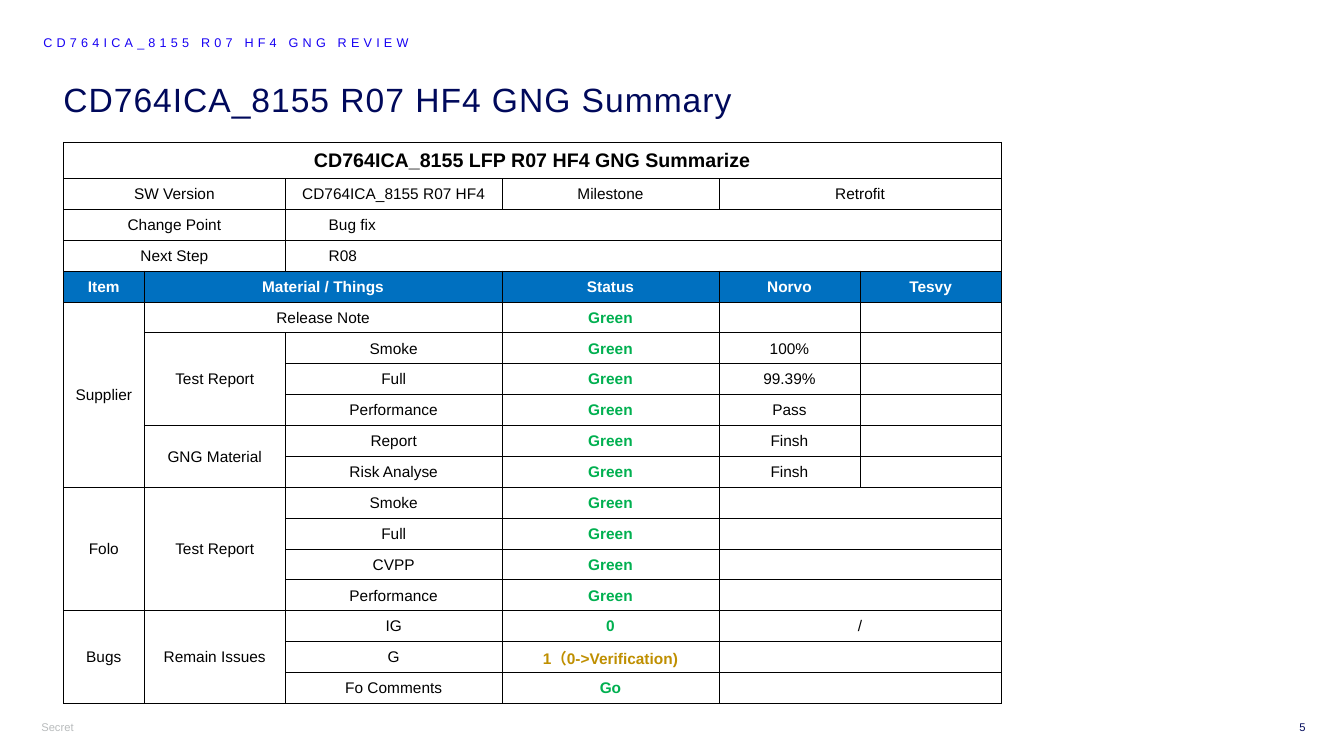
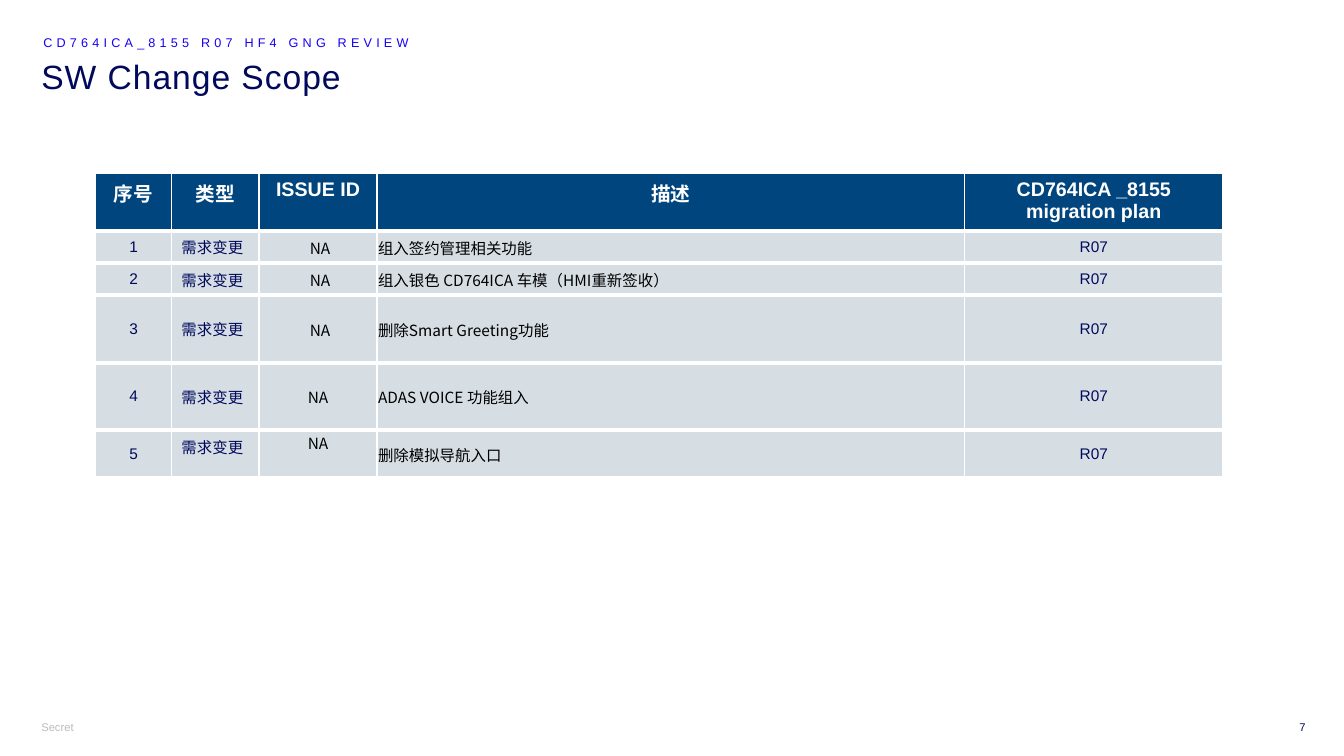
from itertools import takewhile

from lxml import etree
from pptx import Presentation
from pptx.dml.color import RGBColor
from pptx.enum import text
from pptx.oxml import ns
from pptx.util import Inches, Pt

COLORS = {
    "navy": "00095B",
    "label": "1700F3",
    "muted": "B9BCBD",
    "black": "000000",
    "white": "FFFFFF",
    "blue": "0070C0",
    "green": "00B050",
    "amber": "BF8F00",
    "header": "00457E",
    "body": "D6DEE4",
}
LATIN = "Arial"
CHINESE = "Noto Sans CJK SC"
LEFT, CENTER, RIGHT = text.PP_ALIGN.LEFT, text.PP_ALIGN.CENTER, text.PP_ALIGN.RIGHT
TOP, MIDDLE = text.MSO_ANCHOR.TOP, text.MSO_ANCHOR.MIDDLE
TIGHT = (0.01, 0.01, 0.01, 0)
ROOMY = (0.1, 0.05, 0.1, 0.05)
WIDER_LEFT = (0.05, 0.01, 0.01, 0)
INDENTED = (0.43, 0.01, 0.01, 0)

LABEL = "CD764ICA_8155 R07 HF4 GNG REVIEW"
TITLE_ROW, HEADER_ROW, STATUS_COLUMN = 0, 4, 3
SUMMARY = [
    ["CD764ICA_8155 LFP R07 HF4 GNG Summarize", "<", "<", "<", "<", "<"],
    ["SW Version", "<", "CD764ICA_8155 R07 HF4", "Milestone", "Retrofit", "<"],
    ["Change Point", "<", "Bug fix", "<", "<", "<"],
    ["Next Step", "<", "R08", "<", "<", "<"],
    ["Item", "Material / Things", "<", "Status", "Norvo", "Tesvy"],
    ["Supplier", "Release Note", "<", "Green", "", ""],
    ["^", "Test Report", "Smoke", "Green", "100%", ""],
    ["^", "^", "Full", "Green", "99.39%", ""],
    ["^", "^", "Performance", "Green", "Pass", ""],
    ["^", "GNG Material", "Report", "Green", "Finsh", ""],
    ["^", "^", "Risk Analyse", "Green", "Finsh", ""],
    ["Folo", "Test Report", "Smoke", "Green", "", "<"],
    ["^", "^", "Full", "Green", "", "<"],
    ["^", "^", "CVPP", "Green", "", "<"],
    ["^", "^", "Performance", "Green", "", "<"],
    ["Bugs", "Remain Issues", "IG", "0", "/", "<"],
    ["^", "^", "G", "1（0->Verification)", "", "<"],
    ["^", "^", "Fo Comments", "Go", "", "<"],
]
SCOPE_HEADERS = ["序号", "类型", "ISSUE ID", "描述", "CD764ICA _8155 migration plan"]
CHANGES = [
    "组入签约管理相关功能",
    "组入银色 CD764ICA 车模（HMI重新签收）",
    "删除Smart Greeting功能",
    "ADAS VOICE 功能组入",
    "删除模拟导航入口",
]


def write(paragraph, words, size, color, bold=False, name=LATIN, align=LEFT, tracking=0):
    paragraph.text = words
    paragraph.alignment = align
    font = paragraph.font
    font.size, font.bold, font.name = Pt(size), bold, name
    font.color.rgb = RGBColor.from_string(COLORS[color])
    properties = paragraph._p.get_or_add_pPr().get_or_add_defRPr()
    etree.SubElement(properties, ns.qn("a:ea"), typeface=CHINESE)
    if tracking:
        properties.set("spc", str(int(tracking * 100)))


def set_margins(target, margins):
    sides = ("margin_left", "margin_top", "margin_right", "margin_bottom")
    for side, length in zip(sides, margins):
        setattr(target, side, Inches(length))


def add_text(page, place, words, size, color, spacing=None, wrap=True, **style):
    frame = page.shapes.add_textbox(*map(Inches, place)).text_frame
    frame.word_wrap = wrap
    set_margins(frame, (0, 0.05, 0, 0.05))
    paragraph = frame.paragraphs[0]
    write(paragraph, words, size, color, **style)
    if spacing:
        paragraph.line_spacing = spacing


def add_page(deck, title, left, top, number):
    page = deck.slides.add_slide(deck.slide_layouts[6])
    add_text(page, (0.41, 7.1, 0.43, 0.24), "Secret", 8, "muted", wrap=False)
    add_text(page, (left, top, 11.5, 0.75), title, 24, "navy", 0.9, tracking=0.7)
    add_text(page, (0.43, 0.31, 5.95, 0.24), LABEL, 9, "label", 0.9, tracking=3)
    add_text(page, (12.6, 7.1, 0.35, 0.24), str(number), 8, "navy", align=RIGHT)
    return page


def add_grid(page, left, top, widths, heights):
    frame = page.shapes.add_table(
        len(heights), len(widths), Inches(left), Inches(top),
        Inches(sum(widths)), Inches(sum(heights)))
    table = frame.table
    table.first_row = table.horz_banding = False
    for column, width in zip(table.columns, widths):
        column.width = Inches(width)
    for row, height in zip(table.rows, heights):
        row.height = Inches(height)
    return table


def set_borders(cell, color, widths):
    properties = cell._tc.get_or_add_tcPr()
    for side, width in zip("LRTB", widths):
        line = etree.SubElement(properties, ns.qn(f"a:ln{side}"), w=str(Pt(width)))
        fill = etree.SubElement(line, ns.qn("a:solidFill"))
        etree.SubElement(fill, ns.qn("a:srgbClr"), val=COLORS[color])


def fill_cell(cell, words, size, color, fill=None, margins=TIGHT, anchor=MIDDLE, **style):
    set_margins(cell, margins)
    cell.vertical_anchor = anchor
    write(cell.text_frame.paragraphs[0], words, size, color, **style)
    if fill:
        cell.fill.solid()
        cell.fill.fore_color.rgb = RGBColor.from_string(COLORS[fill])
    else:
        cell.fill.background()


def count_marks(cells, mark):
    return len(list(takewhile(lambda words: words == mark, cells)))


def summary_style(row, column, words):
    style = {"size": 11, "color": "black", "align": CENTER}
    if row == TITLE_ROW:
        style.update(size=14, bold=True)
    elif row == HEADER_ROW:
        style.update(color="white", fill="blue", bold=True)
    elif row > HEADER_ROW and column == STATUS_COLUMN:
        style.update(color="amber" if "Verification" in words else "green", bold=True)
    elif words in ("Bug fix", "R08"):
        style.update(align=LEFT, margins=INDENTED)
    return style


def add_summary(page):
    body_rows = len(SUMMARY) - 1
    heights = [0.36] + [5.21 / body_rows] * body_rows
    table = add_grid(page, 0.63, 1.41, [0.8, 1.4, 2.15, 2.15, 1.4, 1.4], heights)
    for row, line in enumerate(SUMMARY):
        for column, words in enumerate(line):
            cell = table.cell(row, column)
            set_borders(cell, "black", [0.5] * 4)
            shown = "" if words in ("<", "^") else words
            fill_cell(cell, shown, **summary_style(row, column, words))
    for row, line in enumerate(SUMMARY):
        for column, words in enumerate(line):
            if words in ("<", "^"):
                continue
            right = count_marks(line[column + 1:], "<")
            down = count_marks([later[column] for later in SUMMARY[row + 1:]], "^")
            if right or down:
                table.cell(row, column).merge(table.cell(row + down, column + right))


def add_scope(page):
    table = add_grid(page, 0.95, 1.72, [0.75, 0.87, 1.17, 5.83, 2.56],
                     [0.57, 0.32, 0.32, 0.67, 0.67, 0.47])
    for column, words in enumerate(SCOPE_HEADERS):
        cell = table.cell(0, column)
        set_borders(cell, "white", (1, 1, 1, 3))
        fill_cell(cell, words, 14, "white", "header", ROOMY, TOP, bold=True, align=CENTER)
    for row, change in enumerate(CHANGES, 1):
        anchor = TOP if row == len(CHANGES) else MIDDLE
        navy = {"color": "navy", "margins": ROOMY}
        black = {"color": "black", "name": CHINESE}
        entries = [
            (str(row), {**navy, "align": CENTER}),
            ("需求变更", {**navy, "anchor": anchor}),
            ("NA", {**black, "align": CENTER, "anchor": anchor,
                    "margins": WIDER_LEFT if row <= 3 else TIGHT}),
            (change, black),
            ("R07", {**navy, "align": CENTER}),
        ]
        for column, (words, style) in enumerate(entries):
            cell = table.cell(row, column)
            set_borders(cell, "white", (1, 1, 3, 3))
            fill_cell(cell, words, size=11, fill="body", **style)


def main():
    deck = Presentation()
    deck.slide_width, deck.slide_height = Inches(13.33), Inches(7.5)
    add_summary(add_page(deck, "CD764ICA_8155 R07 HF4 GNG Summary", 0.63, 0.78, 5))
    add_scope(add_page(deck, "SW Change Scope", 0.41, 0.55, 7))
    deck.save("out.pptx")


if __name__ == "__main__":
    main()
